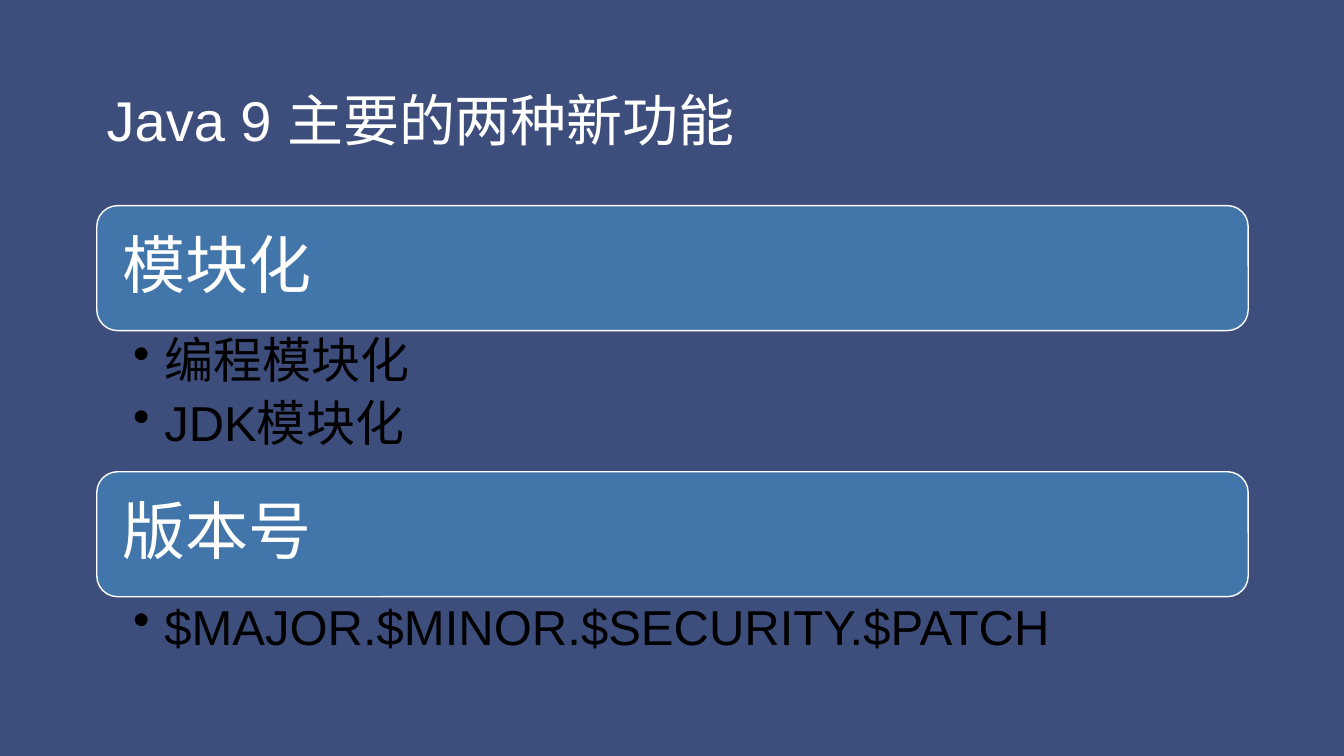
import pptx
import pptx.util
import pptx.dml.color
import pptx.enum.shapes
import pptx.enum.text
import pptx.oxml
import pptx.oxml.ns
import lxml.etree

Inches, Pt = pptx.util.Inches, pptx.util.Pt
MIDDLE = pptx.enum.text.MSO_ANCHOR.MIDDLE
TOP = pptx.enum.text.MSO_ANCHOR.TOP
LEFT = pptx.enum.text.PP_ALIGN.LEFT

COLORS = {"back": "3E4E7C", "bar": "4276AA", "light": "FFFFFF", "dark": "000000"}
FONT = "Arial"
BAR_HEIGHT = 1.24
SECTIONS = [
    ("模块化", ["编程模块化", "JDK模块化"], 1.4),
    ("版本号", ["$MAJOR.$MINOR.$SECURITY.$PATCH"], 0.81),
]


def rgb(name):
    """Return the named colour."""
    return pptx.dml.color.RGBColor.from_string(COLORS[name])


def write(sp, lines, size, color, frame, para):
    """Fill a shape with formatted paragraphs and return them."""
    tf = sp.text_frame
    for key, value in {"word_wrap": True, **frame}.items():
        setattr(tf, key, value)
    tf.text = "\n".join(lines)
    for p in tf.paragraphs:
        for key, value in {"alignment": LEFT, **para}.items():
            setattr(p, key, value)
        for r in p.runs:
            for key, value in {"name": FONT, "size": Pt(size)}.items():
                setattr(r.font, key, value)
            r.font.color.rgb = rgb(color)
            ea = lxml.etree.SubElement(r.font._element, pptx.oxml.ns.qn("a:ea"))
            ea.set("typeface", FONT)
    return tf.paragraphs


def insets(left, top, right, bottom):
    """Return text margins given in inches."""
    return {"margin_left": Inches(left), "margin_top": Inches(top),
            "margin_right": Inches(right), "margin_bottom": Inches(bottom)}


def add_title(slide, text, x, y, w, h):
    """Place the slide title in its box."""
    sp = slide.shapes.add_textbox(Inches(x), Inches(y), Inches(w), Inches(h))
    frame = {"vertical_anchor": MIDDLE, **insets(0.1, 0.05, 0.1, 0.05)}
    write(sp, [text], 40, "light", frame, {"line_spacing": 1.2})


def add_bar(slide, text, x, y, w, h):
    """Place a rounded heading bar in its box."""
    sp = slide.shapes.add_shape(pptx.enum.shapes.MSO_SHAPE.ROUNDED_RECTANGLE,
                                Inches(x), Inches(y), Inches(w), Inches(h))
    sp.shadow.inherit = False
    sp.fill.solid()
    sp.fill.fore_color.rgb = rgb("bar")
    sp.line.color.rgb = rgb("light")
    sp.line.width = Pt(1)
    frame = {"vertical_anchor": MIDDLE, **insets(0.19, 0.19, 0.19, 0.19)}
    write(sp, [text], 45, "light", frame, {"line_spacing": 0.9})


def add_bullets(slide, lines, x, y, w, h):
    """Place a bulleted list in its box."""
    sp = slide.shapes.add_textbox(Inches(x), Inches(y), Inches(w), Inches(h))
    frame = {"vertical_anchor": TOP, **insets(0.36, 0.06, 0.35, 0.06)}
    para = {"level": 1, "line_spacing": 0.9, "space_after": Pt(7)}
    for p in write(sp, lines, 35, "dark", frame, para):
        pPr = p._p.get_or_add_pPr()
        pPr.set("marL", str(Inches(0.31)))
        pPr.set("indent", str(-Inches(0.31)))
        bullet = lxml.etree.SubElement(pPr, pptx.oxml.ns.qn("a:buChar"))
        bullet.set("char", "•")


def add_sections(slide, x, y, w):
    """Stack every heading bar and its list downwards from the top."""
    for heading, lines, height in SECTIONS:
        add_bar(slide, heading, x, y, w, BAR_HEIGHT)
        add_bullets(slide, lines, x, y + BAR_HEIGHT, w, height)
        y += BAR_HEIGHT + height


def main():
    """Build and save the slide."""
    prs = pptx.Presentation()
    prs.slide_width, prs.slide_height = Inches(13.33), Inches(7.5)
    slide = prs.slides.add_slide(prs.slide_layouts[6])
    slide.background.fill.solid()
    slide.background.fill.fore_color.rgb = rgb("back")
    add_title(slide, "Java 9 主要的两种新功能", 0.96, 0.37, 11.42, 1.5)
    add_sections(slide, 0.96, 2.04, 11.42)
    prs.save("out.pptx")


if __name__ == "__main__":
    main()
